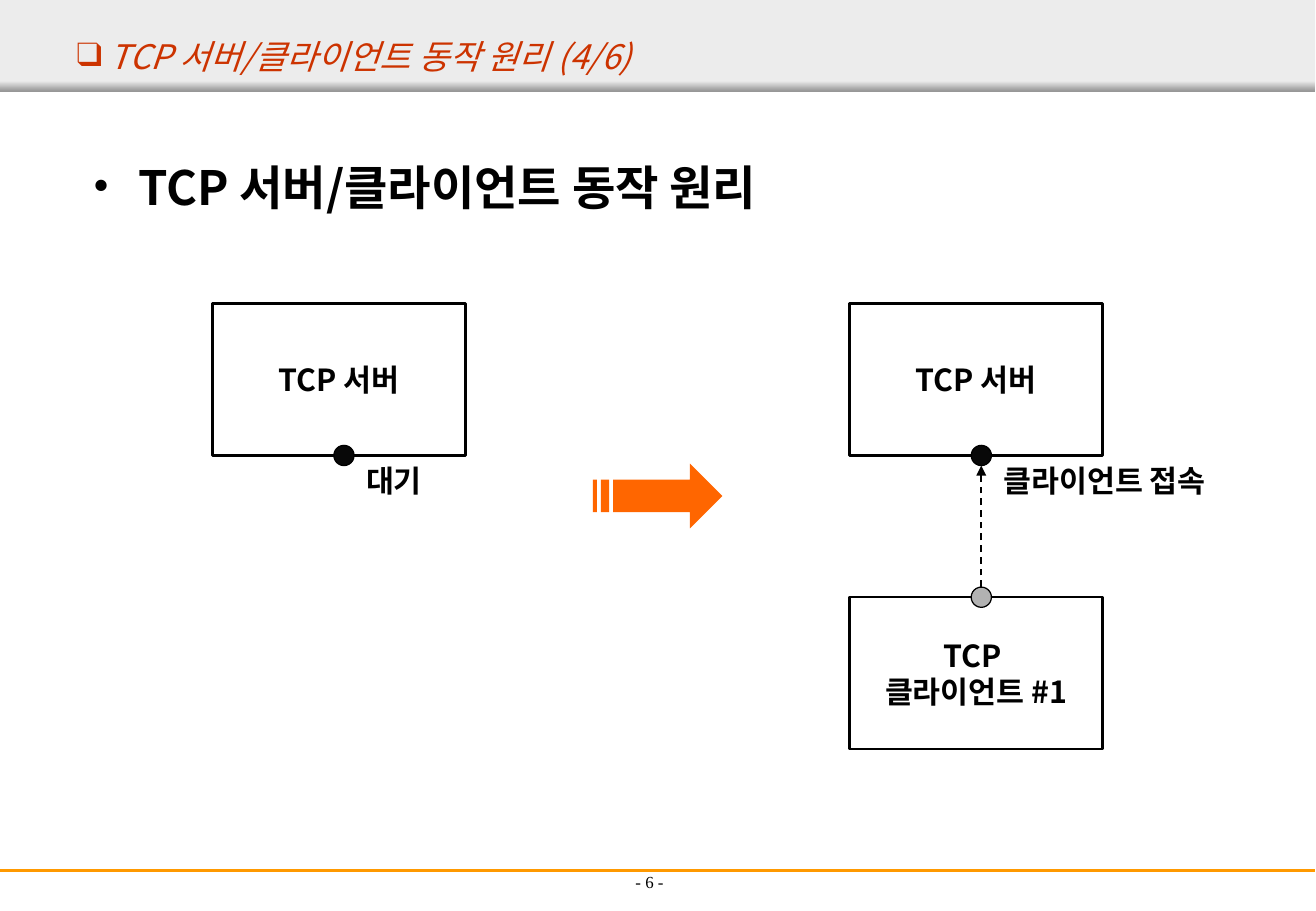
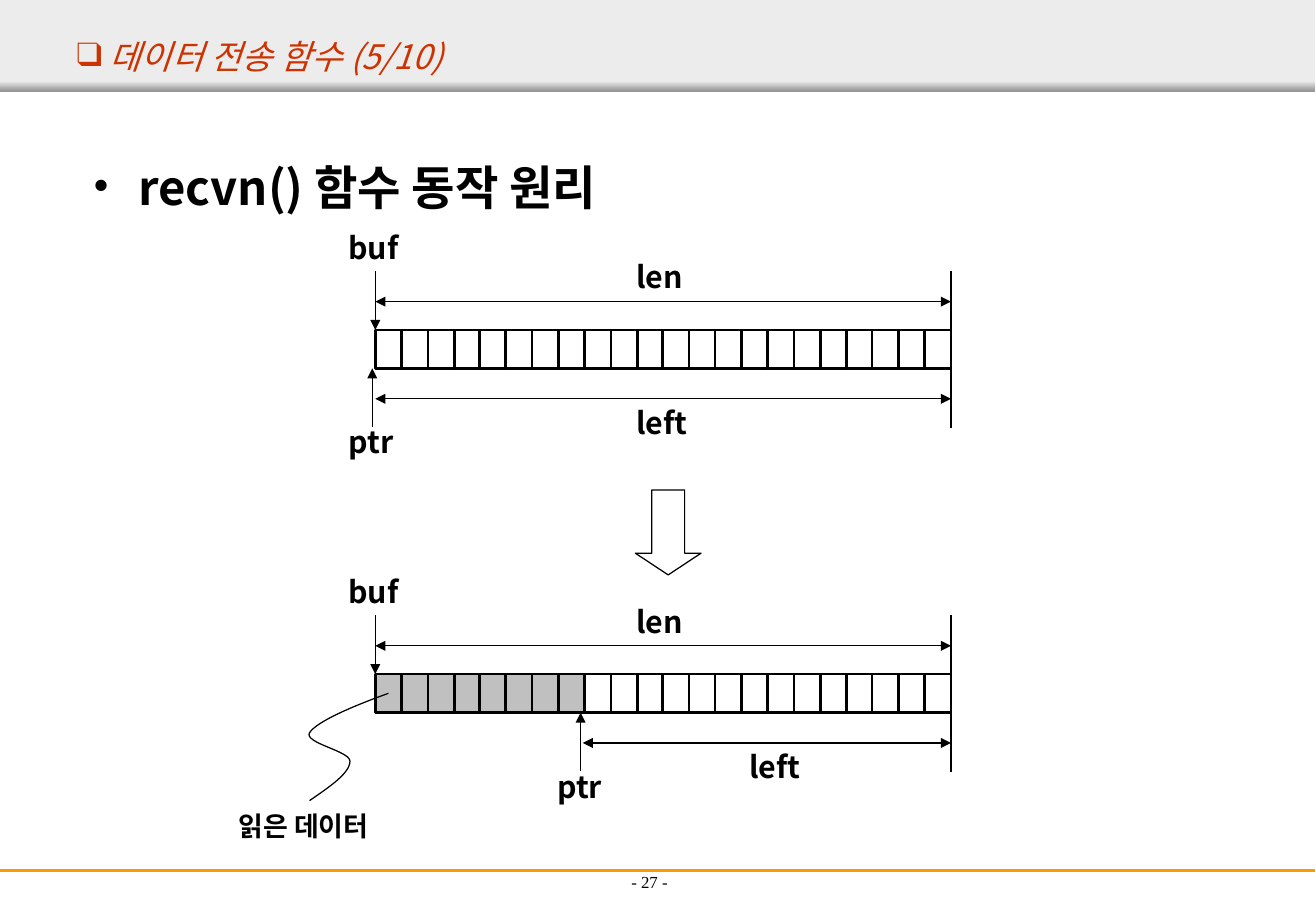
from lxml.etree import SubElement
from pptx import Presentation
from pptx.dml.color import RGBColor
from pptx.enum.dml import MSO_LINE
from pptx.enum.shapes import MSO_CONNECTOR, MSO_SHAPE
from pptx.enum.text import MSO_ANCHOR, MSO_AUTO_SIZE, PP_ALIGN
from pptx.oxml.ns import qn
from pptx.util import Emu, Inches, Pt

EMU_PER_PX = 7620  # 120 px to the inch
SLIDE_WIDTH, SLIDE_HEIGHT = Inches(10.84), Inches(7.5)
BAND_WIDTH = 1300

BLACK = RGBColor(0x00, 0x00, 0x00)
TITLE_RED = RGBColor(0xCC, 0x33, 0x00)
BAND_GRAY = RGBColor(0xEC, 0xEC, 0xEC)
BAND_SHADE = RGBColor(0x97, 0x97, 0x97)
FOOTER_ORANGE = RGBColor(0xFF, 0x99, 0x00)
ARROW_ORANGE = RGBColor(0xFF, 0x66, 0x00)
SERVER_DOT = RGBColor(0x08, 0x08, 0x08)
CLIENT_DOT = RGBColor(0xB2, 0xB2, 0xB2)
READ_GRAY = RGBColor(0xC0, 0xC0, 0xC0)

SANS = "Noto Sans CJK KR"
SERIF = "Times New Roman"

CELL_COUNT = 22
BUFFER_WIDTH, CELL_HEIGHT = 569, 38
LABEL_WIDTH, LABEL_HEIGHT = 220, 29


def px(length):
    return Emu(round(length * EMU_PER_PX))


# Basic parts

def style(shape, fill=None, line=None, weight=0.75):
    shape.shadow.inherit = False
    if fill is None:
        shape.fill.background()
    else:
        shape.fill.solid()
        shape.fill.fore_color.rgb = fill
    if line is None:
        shape.line.fill.background()
    else:
        shape.line.color.rgb = line
        shape.line.width = Pt(weight)
    return shape


def add_box(slide, kind, left, top, width, height, fill=None, line=None, weight=0.75):
    shape = slide.shapes.add_shape(kind, px(left), px(top), px(width), px(height))
    return style(shape, fill, line, weight)


def write(shape, lines, size=18, color=BLACK, font=SANS, bold=True, italic=False,
          align=PP_ALIGN.CENTER, anchor=MSO_ANCHOR.MIDDLE, wrap=False):
    frame = shape.text_frame
    frame.word_wrap = wrap
    frame.auto_size = MSO_AUTO_SIZE.NONE
    frame.vertical_anchor = anchor
    for index, line in enumerate(lines):
        paragraph = frame.add_paragraph() if index else frame.paragraphs[0]
        paragraph.alignment = align
        run = paragraph.add_run()
        run.text = line
        run.font.size = Pt(size)
        run.font.bold = bold
        run.font.italic = italic
        run.font.name = font
        run.font.color.rgb = color
        SubElement(run.font._element, qn("a:ea"), typeface=font)
    return frame.paragraphs[0]


def add_text(slide, left, top, width, height, text, **options):
    shape = slide.shapes.add_textbox(px(left), px(top), px(width), px(height))
    return write(shape, [text], **options)


def add_label(slide, center, top, text, size=18):
    add_text(slide, center - LABEL_WIDTH // 2, top, LABEL_WIDTH, LABEL_HEIGHT,
             text, size=size)


def add_bullet(paragraph, symbol, color, hanging=0):
    properties = paragraph._p.get_or_add_pPr()
    properties.set("marL", str(px(hanging)))
    properties.set("indent", str(-px(hanging)))
    bullet_color = SubElement(properties, qn("a:buClr"))
    SubElement(bullet_color, qn("a:srgbClr"), val=str(color))
    SubElement(properties, qn("a:buFont"), typeface=SERIF)
    SubElement(properties, qn("a:buChar"), char=symbol)


def add_line(slide, start, end, color=BLACK, weight=0.75, dash=None, arrows=()):
    """Draw a line; arrows holds headEnd and/or tailEnd, in that order."""
    connector = slide.shapes.add_connector(
        MSO_CONNECTOR.STRAIGHT, *(px(value) for value in (*start, *end)))
    connector.line.color.rgb = color
    connector.line.width = Pt(weight)
    if dash is not None:
        connector.line.dash_style = dash
    line = connector.line._get_or_add_ln()
    for arrow in arrows:
        SubElement(line, qn(f"a:{arrow}"), type="triangle")
    SubElement(connector._element.spPr, qn("a:effectLst"))


def add_outline(slide, contours, closed=True):
    contours = [[(px(x), px(y)) for x, y in contour] for contour in contours]
    builder = slide.shapes.build_freeform(*contours[0][0], scale=1.0)
    for index, contour in enumerate(contours):
        if index:
            builder.move_to(*contour[0])
        builder.add_line_segments(contour[1:], close=closed)
    return builder.convert_to_shape()


def bezier_points(points, steps=16):
    """Sample a chain of cubic curves that share their end points."""
    samples = [points[0]]
    for first in range(0, len(points) - 1, 3):
        controls = points[first:first + 4]
        for step in range(1, steps + 1):
            t = step / steps
            weights = ((1 - t) ** 3, 3 * t * (1 - t) ** 2, 3 * t * t * (1 - t), t ** 3)
            samples.append(tuple(
                sum(weight * control[axis] for weight, control in zip(weights, controls))
                for axis in (0, 1)))
    return samples


# Shared frame of every slide

def add_frame(presentation, title, heading, page):
    slide = presentation.slides.add_slide(presentation.slide_layouts[6])
    # Header band with shaded lower edge
    add_box(slide, MSO_SHAPE.RECTANGLE, 0, 0, BAND_WIDTH, 90, BAND_GRAY)
    edge = add_box(slide, MSO_SHAPE.RECTANGLE, 0, 80, BAND_WIDTH, 10)
    edge.fill.gradient()
    edge.fill.gradient_angle = 270
    for stop, color in zip(edge.fill.gradient_stops, (BAND_GRAY, BAND_SHADE)):
        stop.color.rgb = color
    # Footer
    add_line(slide, (0, 860), (BAND_WIDTH, 860), FOOTER_ORANGE, 1.5)
    add_text(slide, 443, 827, 398, 60, f"- {page} -", size=10, font=SERIF,
             bold=False, anchor=MSO_ANCHOR.BOTTOM, wrap=True)
    # Title and heading
    paragraph = add_text(slide, 64, 30, 1237, 50, f" {title}", size=20, color=TITLE_RED,
                         bold=False, italic=True, align=PP_ALIGN.LEFT, wrap=True)
    add_bullet(paragraph, "❑", TITLE_RED)
    paragraph = add_text(slide, 80, 150, 1140, 653, heading, size=28,
                         align=PP_ALIGN.LEFT, anchor=MSO_ANCHOR.TOP, wrap=True)
    paragraph.space_before = Pt(7)
    add_bullet(paragraph, "•", BLACK, hanging=45)
    return slide


# Server and client diagram

def add_node(slide, left, top, lines, dot_top, dot_color):
    box = add_box(slide, MSO_SHAPE.RECTANGLE, left, top, 250, 150, line=BLACK, weight=1.5)
    write(box, lines)
    add_box(slide, MSO_SHAPE.OVAL, left + 120, top + dot_top, 20, 20, dot_color, BLACK)


def add_server(slide, left, top, state):
    add_node(slide, left, top, ["TCP 서버"], 140, SERVER_DOT)
    add_text(slide, left + 140, top + 160, 220, 30, state, align=PP_ALIGN.LEFT)


def add_client(slide, left, top):
    add_node(slide, left, top, ["TCP ", "클라이언트 #1"], -10, CLIENT_DOT)
    add_line(slide, (left + 130, top - 10), (left + 130, top - 130), weight=1,
             dash=MSO_LINE.DASH, arrows=["tailEnd"])


def add_striped_arrow(slide, left, top):
    shaft_top, shaft_bottom = top + 16, top + 48
    arrow = [(left + 20, shaft_top), (left + 96, shaft_top), (left + 96, top),
             (left + 128, top + 32), (left + 96, top + 64),
             (left + 96, shaft_bottom), (left + 20, shaft_bottom)]
    stripes = [[(left + start, shaft_top), (left + end, shaft_top),
                (left + end, shaft_bottom), (left + start, shaft_bottom)]
               for start, end in ((0, 4), (8, 16))]
    style(add_outline(slide, [arrow, *stripes]), ARROW_ORANGE)


def build_connection_slide(presentation):
    slide = add_frame(presentation, "TCP 서버/클라이언트 동작 원리 (4/6)",
                      "TCP 서버/클라이언트 동작 원리", 6)
    add_server(slide, 210, 300, "대기")
    add_server(slide, 840, 300, "클라이언트 접속")
    add_client(slide, 840, 590)
    add_striped_arrow(slide, 586, 458)


# Receive buffer diagram

def add_buffer(slide, left, top, read_cells, pointer, remainder, remainder_label):
    """The last three arguments are distances from the left edge."""
    right = left + BUFFER_WIDTH
    bar_top, bar_bottom = top + 96, top + 96 + CELL_HEIGHT
    both = ["headEnd", "tailEnd"]
    # Cells
    edges = [left + round(BUFFER_WIDTH * index / CELL_COUNT)
             for index in range(CELL_COUNT + 1)]
    for index, (start, end) in enumerate(zip(edges, edges[1:])):
        add_box(slide, MSO_SHAPE.RECTANGLE, start, bar_top, end - start, CELL_HEIGHT,
                READ_GRAY if index < read_cells else None, BLACK, 1.5)
    # Start and total length, above
    add_label(slide, left - 2, top, "buf")
    add_line(slide, (left, top + 38), (left, bar_top), arrows=["tailEnd"])
    add_line(slide, (left, top + 68), (right, top + 68), arrows=both)
    add_line(slide, (right, top + 38), (right, bar_top))
    add_text(slide, left + 246, top + 29, LABEL_WIDTH, LABEL_HEIGHT, "len",
             align=PP_ALIGN.LEFT)
    # Pointer and remaining length, below
    add_label(slide, left + pointer - 1, top + 192, "ptr")
    add_line(slide, (left + pointer, bar_bottom), (left + pointer, top + 192),
             arrows=["headEnd"])
    add_line(slide, (left + remainder, top + 164), (right, top + 164), arrows=both)
    add_line(slide, (right, bar_bottom), (right, top + 193))
    add_label(slide, left + remainder_label, top + 173, "left")


def add_read_note(slide, left, top):
    controls = [(13, 115), (-23, 128), (-58, 143), (-65, 154), (-71, 164),
                (-25, 172), (-25, 182), (-25, 194), (-46, 208), (-65, 221)]
    curve = bezier_points([(left + x, top + y) for x, y in controls])
    style(add_outline(slide, [curve], closed=False), line=BLACK)
    add_label(slide, left - 71, top + 231, "읽은 데이터", size=16)


def build_buffer_slide(presentation):
    slide = add_frame(presentation, "데이터 전송 함수 (5/10)", "recvn() 함수 동작 원리", 27)
    add_buffer(slide, 371, 230, 0, -3, 0, 283)
    add_buffer(slide, 371, 570, 8, 203, 205, 395)
    add_read_note(slide, 371, 570)
    arrow = add_box(slide, MSO_SHAPE.DOWN_ARROW, 628, 484, 65, 84, line=BLACK)
    arrow.adjustments[0] = 0.5
    arrow.adjustments[1] = 0.33


def main():
    presentation = Presentation()
    presentation.slide_width = SLIDE_WIDTH
    presentation.slide_height = SLIDE_HEIGHT
    build_connection_slide(presentation)
    build_buffer_slide(presentation)
    presentation.save("out.pptx")


if __name__ == "__main__":
    main()
